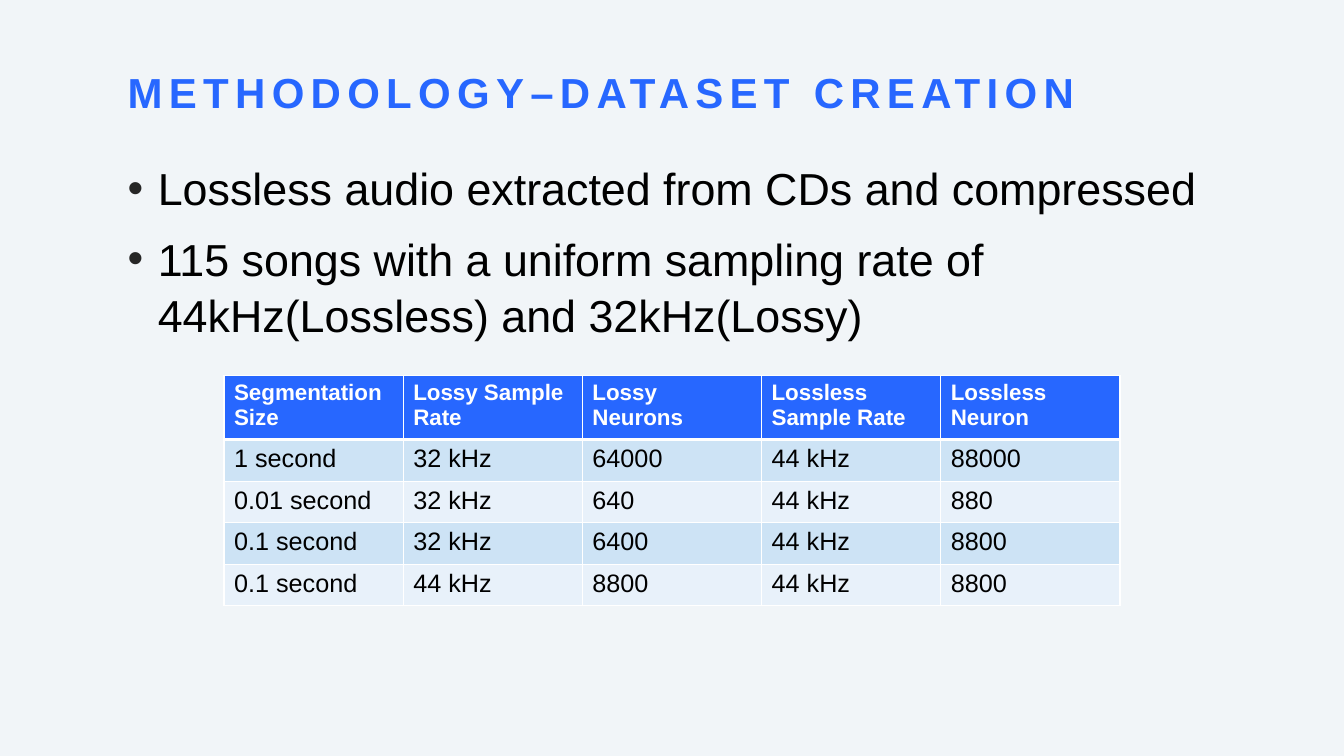
from dataclasses import dataclass

from lxml.etree import SubElement
from pptx import Presentation
from pptx.dml.color import RGBColor
from pptx.enum.text import MSO_ANCHOR, MSO_AUTO_SIZE, PP_ALIGN
from pptx.oxml.ns import qn
from pptx.util import Inches, Pt


@dataclass(frozen=True)
class Theme:
    font: str = "Arial"
    background: str = "F1F5F8"
    accent: str = "2767FF"
    text: str = "000000"
    bullet: str = "262626"
    white: str = "FFFFFF"
    bands: tuple = ("CDE3F5", "E8F1FA")
    title_size: int = 30
    body_size: int = 32
    header_size: int = 16
    cell_size: int = 18
    thin_line: int = 1
    thick_line: int = 3


class SlideBuilder:
    """Places elements on a grid of 12 columns by 10 rows."""

    columns, rows = 12, 10

    def __init__(self, presentation, theme):
        self.theme = theme
        self.column = presentation.slide_width / self.columns
        self.row = presentation.slide_height / self.rows
        self.slide = presentation.slides.add_slide(presentation.slide_layouts[5])
        fill = self.slide.background.fill
        fill.solid()
        fill.fore_color.rgb = RGBColor.from_string(theme.background)

    def box(self, left, top, width, height):
        return (int(left * self.column), int(top * self.row),
                int(width * self.column), int(height * self.row))

    def add_text(self, paragraph, text, size, color, bold=False):
        run = paragraph.add_run()
        run.text = text
        values = {"name": self.theme.font, "size": Pt(size), "bold": bold}
        for name, value in values.items():
            setattr(run.font, name, value)
        run.font.color.rgb = RGBColor.from_string(color)
        return run

    def title(self, text, area, spacing):
        shape = self.slide.shapes.title
        for name, value in zip(("left", "top", "width", "height"), self.box(*area)):
            setattr(shape, name, value)
        frame_format = {"word_wrap": True, "auto_size": MSO_AUTO_SIZE.NONE,
                        "vertical_anchor": MSO_ANCHOR.MIDDLE}
        for name, value in frame_format.items():
            setattr(shape.text_frame, name, value)
        paragraph = shape.text_frame.paragraphs[0]
        paragraph.line_spacing = 0.9
        paragraph.alignment = PP_ALIGN.LEFT
        run = self.add_text(paragraph, text, self.theme.title_size, self.theme.accent, True)
        run._r.get_or_add_rPr().set("spc", str(int(spacing * 100)))

    def bullets(self, items, area, indent):
        frame = self.slide.shapes.add_textbox(*self.box(*area)).text_frame
        frame.word_wrap = True
        for index, item in enumerate(items):
            paragraph = frame.add_paragraph() if index else frame.paragraphs[0]
            paragraph.space_before = Pt(10)
            paragraph.line_spacing = 1.05
            properties = paragraph._p.get_or_add_pPr()
            properties.set("marL", str(Inches(indent)))
            properties.set("indent", str(-Inches(indent)))
            color = SubElement(properties, qn("a:buClr"))
            SubElement(color, qn("a:srgbClr"), val=self.theme.bullet)
            SubElement(properties, qn("a:buFont"), typeface=self.theme.font)
            SubElement(properties, qn("a:buChar"), char="•")
            self.add_text(paragraph, item, self.theme.body_size, self.theme.text)

    def borders(self, cell, widths):
        properties = cell._tc.get_or_add_tcPr()
        for side in "LRTB":
            width = widths.get(side, self.theme.thin_line)
            line = SubElement(properties, qn(f"a:ln{side}"), w=str(Pt(width)))
            fill = SubElement(line, qn("a:solidFill"))
            SubElement(fill, qn("a:srgbClr"), val=self.theme.white)

    def table(self, records, area, row_height):
        theme = self.theme
        frame = self.slide.shapes.add_table(len(records), len(records[0]), *self.box(*area))
        for row in frame.table.rows:
            row.height = int(row_height * self.row)
        for row_index, record in enumerate(records):
            header = row_index == 0
            fill = theme.accent if header else theme.bands[(row_index - 1) % 2]
            size = theme.header_size if header else theme.cell_size
            color = theme.white if header else theme.text
            # The rule under the header is shared by the first two rows
            widths = {0: {"B": theme.thick_line}, 1: {"T": theme.thick_line}}.get(row_index, {})
            for column_index, text in enumerate(record):
                cell = frame.table.cell(row_index, column_index)
                self.borders(cell, widths)
                cell.fill.solid()
                cell.fill.fore_color.rgb = RGBColor.from_string(fill)
                self.add_text(cell.text_frame.paragraphs[0], text, size, color, header)


BULLETS = (
    "Lossless audio extracted from CDs and compressed",
    "115 songs with a uniform sampling rate of 44kHz(Lossless) and 32kHz(Lossy)",
)
SEGMENTS = (
    ("Segmentation Size", "Lossy Sample Rate", "Lossy Neurons",
     "Lossless Sample Rate", "Lossless Neuron"),
    ("1 second", "32 kHz", "64000", "44 kHz", "88000"),
    ("0.01 second", "32 kHz", "640", "44 kHz", "880"),
    ("0.1 second", "32 kHz", "6400", "44 kHz", "8800"),
    ("0.1 second", "44 kHz", "8800", "44 kHz", "8800"),
)


def main():
    presentation = Presentation()
    presentation.slide_width = Inches(13.33)
    presentation.slide_height = Inches(7.5)
    builder = SlideBuilder(presentation, Theme())

    # Heading
    builder.title("METHODOLOGY–DATASET CREATION", (1.05, 0.93, 8.89, 0.65), spacing=4.5)

    # Key facts about the dataset
    builder.bullets(BULLETS, (1.05, 2.03, 9.9, 6.77), indent=0.3)

    # Segment sizes and network inputs
    builder.table(SEGMENTS, (2, 4.97, 8, 3.01), row_height=0.55)

    presentation.save("out.pptx")


if __name__ == "__main__":
    main()
